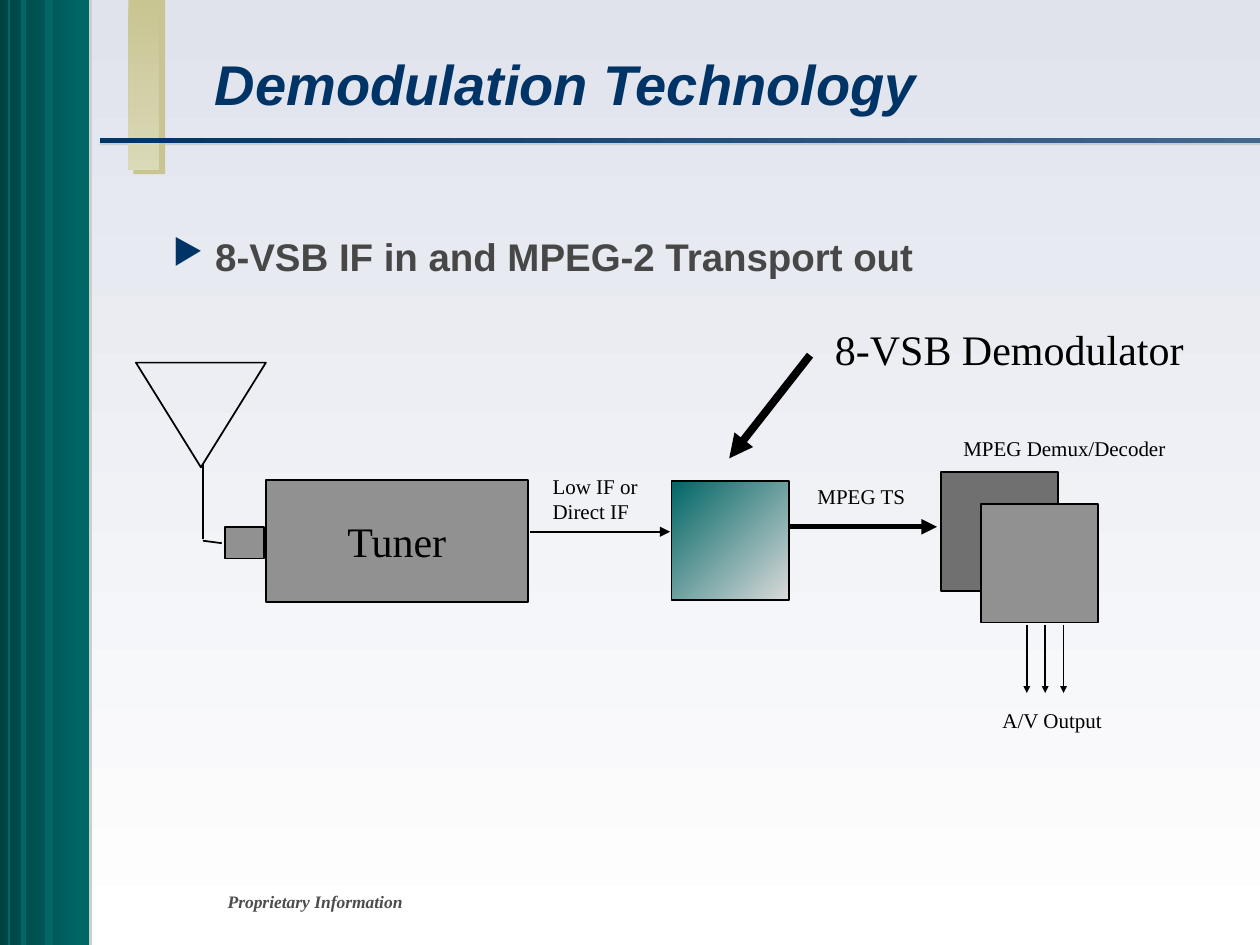
from dataclasses import dataclass

from lxml import etree
from pptx import Presentation
from pptx import util as u
from pptx.dml.color import RGBColor
from pptx.enum import shapes, text
from pptx.oxml.ns import qn

NAVY, TEAL, SAND, SILVER = "003366", "006666", "C8C592", "CECECE"
GREY, DARK_GREY, BLACK = "919191", "707070", "000000"
SERIF, SANS = "Times New Roman", "Arial"


@dataclass
class Box:
    """A region in centimetres."""
    left: float
    top: float
    width: float
    height: float

    def at(self, x, y, width, height):
        return Box(self.left + x, self.top + y, width, height)

    def emu(self):
        return [u.Cm(v) for v in (self.left, self.top, self.width, self.height)]


def rgb(value):
    return RGBColor.from_string(value)


def paint(fill, colour, angle=0):
    """Fill with one colour, or with a (start, end) gradient at a clockwise angle."""
    if colour is None:
        fill.background()
    elif isinstance(colour, str):
        fill.solid()
        fill.fore_color.rgb = rgb(colour)
    else:
        fill.gradient()
        fill.gradient_angle = (360 - angle) % 360
        for stop, value in zip(fill.gradient_stops, colour):
            stop.color.rgb = rgb(value)


def style(paragraph, size, colour, font=SERIF, bold=False, italic=False):
    for run in paragraph.runs:
        run.font.name, run.font.size = font, u.Pt(size)
        run.font.bold, run.font.italic = bold, italic
        run.font.color.rgb = rgb(colour)


def block(slide, box, colour, angle=0, outline=None, kind="RECTANGLE"):
    shape = slide.shapes.add_shape(shapes.MSO_SHAPE[kind], *box.emu())
    shape.shadow.inherit = False
    paint(shape.fill, colour, angle)
    paint(shape.line.fill, outline)
    if outline:
        shape.line.width = u.Pt(1)
    return shape


def stroke(slide, box, start, end, width=1, colour=BLACK, head=None):
    """Draw a line between two points measured from the corner of the box.

    A head of "sm" or "med" puts an arrowhead of that size at the end.
    """
    points = [u.Cm(v) for x, y in (start, end) for v in (box.left + x, box.top + y)]
    line = slide.shapes.add_connector(shapes.MSO_CONNECTOR.STRAIGHT, *points)
    line.line.width = u.Pt(width)
    line.line.color.rgb = rgb(colour)
    if head:
        etree.SubElement(line.line._get_or_add_ln(), qn("a:tailEnd"),
                         type="triangle", w=head, len=head)
    etree.SubElement(line._element.spPr, qn("a:effectLst"))


def label(slide, box, wording, size=12):
    frame = slide.shapes.add_textbox(*box.emu()).text_frame
    frame.word_wrap = True
    frame.auto_size = text.MSO_AUTO_SIZE.NONE
    frame.text = wording
    for paragraph in frame.paragraphs:
        style(paragraph, size, BLACK)


def side_band(slide, box):
    stroke(slide, box, (1.78, 0), (1.78, box.height), 4.5, SILVER)
    block(slide, box.at(0, 0, 1.68, box.height), (TEAL, "004343"), 180)
    for x, width in ((0.18, 1.5), (0.48, 3), (0.99, 4.5), (1.68, 6)):
        stroke(slide, box, (x, 0), (x, box.height), width, TEAL)


def heading(slide, box, wording):
    block(slide, box.at(0, 2.82, box.width, 0.11), SILVER)
    block(slide, box.at(0.68, 0, 0.64, 3.51), SAND)
    block(slide, box.at(0.58, 0, 0.61, 3.43), (SAND, "DAD9B8"), 90)
    block(slide, box.at(0, 2.78, box.width, 0.11), ("42688D", NAVY), 180)

    title = slide.shapes.title
    title.left, title.top, title.width, title.height = box.at(2.07, 0.44, 19.94, 2.46).emu()
    frame = title.text_frame
    frame.text = wording
    frame.auto_size = text.MSO_AUTO_SIZE.NONE
    frame.vertical_anchor = text.MSO_ANCHOR.MIDDLE
    frame.paragraphs[0].alignment = text.PP_ALIGN.LEFT
    style(frame.paragraphs[0], 32, NAVY, SANS, bold=True, italic=True)


def key_point(slide, box, wording):
    frame = slide.shapes.add_textbox(*box.emu()).text_frame
    frame.word_wrap = True
    frame.text = wording
    point = frame.paragraphs[0]
    props = point._p.get_or_add_pPr()
    props.set("marL", str(u.Cm(1.14)))
    props.set("indent", str(-u.Cm(0.86)))
    bullet_colour = etree.SubElement(props, qn("a:buClr"))
    etree.SubElement(bullet_colour, qn("a:srgbClr"), val=NAVY)
    etree.SubElement(props, qn("a:buSzPct"), val="90000")
    etree.SubElement(props, qn("a:buChar"), char="▶")
    point.line_spacing = 0.85
    style(point, 22, "474747", SANS, bold=True)


def antenna(slide, box):
    stroke(slide, box, (1.73, 3.64), (1.35, 3.59))
    stroke(slide, box, (1.35, 3.56), (1.35, 2.04))
    dish = block(slide, box.at(0, 0, box.width, 2.11), None, 0, BLACK, "ISOSCELES_TRIANGLE")
    dish.rotation = 180


def decoder(slide, box):
    """Two overlapping chips with three outputs below."""
    chip = (2.36, 2.39)
    block(slide, box.at(0, 0, *chip), DARK_GREY, 0, BLACK)
    block(slide, box.at(0.81, 0.64, *chip), GREY, 0, BLACK)
    label(slide, box.at(0.2, -0.86, 5.2, 0.76), "MPEG Demux/Decoder")
    for i in range(3):
        x = 1.73 + 0.37 * i
        stroke(slide, box, (x, 3.07), (x, 4.45), head="sm")
    label(slide, box.at(0.99, 4.62, 2.8, 0.76), "A/V Output")


def signal_chain(slide, box):
    antenna(slide, box.at(0, 0.91, 2.62, 3.64))
    block(slide, box.at(1.8, 4.22, 0.79, 0.64), GREY, 0, BLACK)
    tuner = block(slide, box.at(2.62, 3.28, 5.28, 2.46), GREY, 0, BLACK).text_frame
    tuner.text = "Tuner"
    tuner.vertical_anchor = text.MSO_ANCHOR.MIDDLE
    tuner.paragraphs[0].alignment = text.PP_ALIGN.CENTER
    style(tuner.paragraphs[0], 24, BLACK)

    stroke(slide, box, (7.95, 4.32), (10.77, 4.32), head="med")
    label(slide, box.at(8.15, 3.02, 2.6, 1.27), "Low IF or\nDirect IF")

    block(slide, box.at(10.8, 3.3, 2.36, 2.39), ("DADADA", TEAL), 225, BLACK)
    stroke(slide, box, (13.59, 0.76), (11.96, 2.84), 4.5, head="med")
    label(slide, box.at(13.84, 0, 8, 1.27), "8-VSB Demodulator", 24)

    stroke(slide, box, (13.16, 4.22), (16.15, 4.22), 3, head="med")
    label(slide, box.at(13.49, 3.23, 2.6, 0.76), "MPEG TS")
    decoder(slide, box.at(16.23, 3.12, 5.4, 5.39))


def footer(slide, box, wording):
    frame = slide.shapes.add_textbox(*box.emu()).text_frame
    frame.word_wrap = True
    frame.vertical_anchor = text.MSO_ANCHOR.MIDDLE
    frame.text = wording
    style(frame.paragraphs[0], 10, "4D4D4D", bold=True, italic=True)


def main():
    deck = Presentation()
    deck.slide_width, deck.slide_height = u.Cm(25.4), u.Cm(19.05)
    slide = deck.slides.add_slide(deck.slide_layouts[5])
    paint(slide.background.fill, ("E0E3EC", "FFFFFF"), 90)
    side_band(slide, Box(0, 0, 1.78, 19.05))
    heading(slide, Box(2.01, 0, 23.39, 3.51), "Demodulation Technology")
    key_point(slide, Box(2.95, 4.72, 21.84, 1.2), "8-VSB IF in and MPEG-2 Transport out")
    signal_chain(slide, Box(2.74, 6.4, 21.84, 8.51))
    footer(slide, Box(4.34, 17.68, 8.43, 0.97), "Proprietary Information")
    deck.save("out.pptx")


if __name__ == "__main__":
    main()
